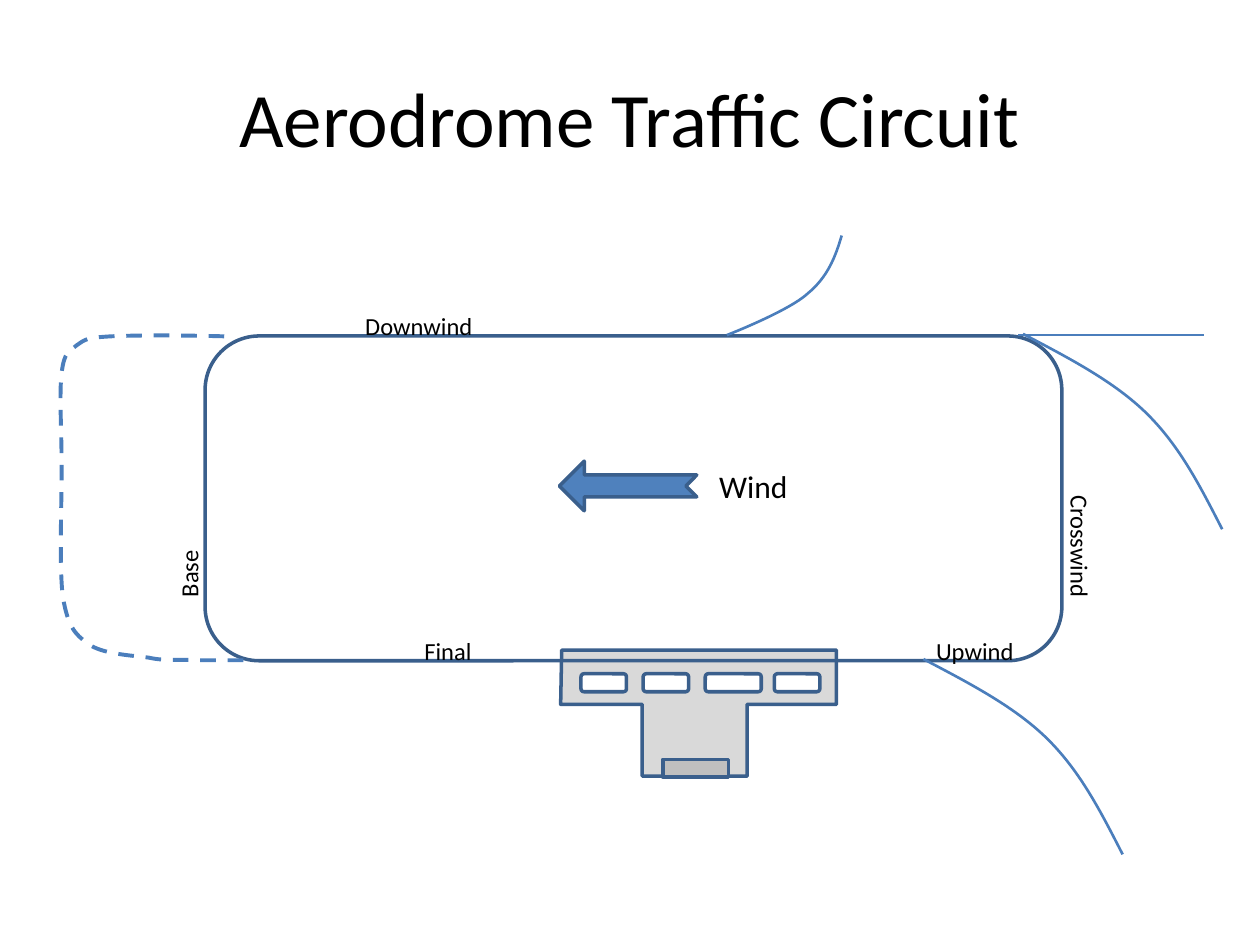
from pptx import Presentation
from pptx.dml.color import RGBColor as RGB
from pptx.enum.dml import MSO_LINE as Dash
from pptx.enum.shapes import MSO_CONNECTOR as Conn, MSO_SHAPE as Kind
from pptx.enum.text import MSO_ANCHOR as Anchor, PP_ALIGN as Align
from pptx.oxml.xmlchemy import OxmlElement as Node
from pptx.util import Pt

HUE = {"ink": "000000", "edge": "3A5F8C", "track": "4B7EBC", "wind": "4F81BD",
       "wall": "D9D9D9", "door": "BFBFBF", "pane": "FFFFFF"}


def paint(shape, fill, edge="edge", width=2):
    shape.shadow.inherit = False
    if fill:
        shape.fill.solid()
        shape.fill.fore_color.rgb = RGB.from_string(HUE[fill])
    else:
        shape.fill.background()
    shape.line.color.rgb = RGB.from_string(HUE[edge])
    shape.line.width = Pt(width)


def trace(shapes, dots, close):
    ends = [(Pt(x), Pt(y)) for x, y in dots]
    pen = shapes.build_freeform(*ends[0])
    pen.add_line_segments(ends[1:], close=close)
    return pen.convert_to_shape()


prs = Presentation()
prs.slide_width, prs.slide_height = Pt(720), Pt(540)
slide = prs.slides.add_slide(prs.slide_layouts[6])
shapes = slide.shapes

tower = shapes.add_group_shape().shapes
walls = [(321, 371.5), (478, 371.5), (478, 402.5), (427, 402.5), (427, 443.5),
         (367, 443.5), (367, 402.5), (320.4, 402.5)]
paint(trace(tower, walls, True), "wall")
for x, w in [(332, 26), (367.5, 26), (403, 32), (442.5, 26)]:
    pane = tower.add_shape(Kind.ROUNDED_RECTANGLE, Pt(x), Pt(385), Pt(w), Pt(10.3))
    paint(pane, "pane")
door = tower.add_shape(Kind.RECTANGLE, Pt(378.7), Pt(434), Pt(37.5), Pt(10))
paint(door, "door")

loop = shapes.add_shape(Kind.ROUNDED_RECTANGLE, Pt(117.2), Pt(192), Pt(489.6), Pt(185.6))
paint(loop, None)

entry = shapes.add_connector(Conn.STRAIGHT, Pt(688), Pt(191.5), Pt(582), Pt(191.5))
entry.line.color.rgb = RGB.from_string(HUE["track"])
entry.line.width = Pt(1.5)
entry.element.spPr.append(Node("a:effectLst"))

leave = [(481, 134.6), (477.4, 146.9), (473, 158.4), (461.5, 167.8),
         (450.7, 177.8), (415.4, 191.5), (415.4, 191.5)]
bend = [(0, 0), (-12.2, -23.8), (-23.8, -46.8), (-42.5, -65.5),
        (-61.2, -84.2), (-87.8, -97.9), (-113.8, -111.6)]
wide = [(128.2, 192.2), (103, 191.5), (77.8, 191.5), (63.4, 192.2),
        (49.7, 193), (49, 193.7), (43.9, 197.3),
        (39.6, 200.9), (36.7, 200.9), (35.3, 213.1),
        (33.8, 224.6), (35.3, 246.2), (35.3, 267.8),
        (35.3, 288.7), (33.8, 324.7), (36, 341.3),
        (38.9, 357.8), (42.5, 362.2), (50.4, 367.9),
        (58.3, 373.7), (74.2, 374.4), (85, 375.8),
        (95, 378), (103.7, 376.6), (113.8, 377.3),
        (123.8, 377.3), (144.7, 377.3), (144.7, 377.3)]
bends = [[(x + dx, y + dy) for dx, dy in bend] for x, y in [(641.5, 488.2), (698.4, 302.4)]]
for dots, width, dash in [(leave, 1.5, None), (bends[0], 1.5, None),
                          (bends[1], 1.5, None), (wide, 2.25, Dash.DASH)]:
    curve = trace(shapes, dots, False)
    paint(curve, None, "track", width)
    if dash:
        curve.line.dash_style = dash
    legs = curve.element.xpath(".//a:lnTo")
    for i in range(0, len(legs), 3):
        arc = Node("a:cubicBezTo")
        legs[i].addprevious(arc)
        for leg in legs[i:i + 3]:
            arc.append(leg[0])
            leg.getparent().remove(leg)

arrow = shapes.add_shape(Kind.NOTCHED_RIGHT_ARROW, Pt(319.7), Pt(263.5), Pt(78.5), Pt(28.4))
arrow.adjustments[0] = 0.44
arrow.adjustments[1] = 0.5
arrow.element.xpath(".//a:xfrm")[0].set("flipH", "1")
paint(arrow, "wind")

for text, x, y, w, h, size, turn in [
    ("Aerodrome Traffic Circuit", 36, 21.6, 648, 90, 44, None),
    ("Downwind", 201.6, 174.4, 90, 24.2, 14, None),
    ("Final", 235.4, 360, 67.7, 24.2, 14, None),
    ("Base", 95.8, 298, 31.7, 50.4, 14, "vert270"),
    ("Crosswind", 597.6, 275.8, 31.7, 73.4, 14, "vert"),
    ("Upwind", 527.8, 360, 67.7, 24.2, 14, None),
    ("Wind", 403.9, 263.5, 56.2, 29, 18, None),
]:
    frame = shapes.add_textbox(Pt(x), Pt(y), Pt(w), Pt(h)).text_frame
    frame.word_wrap = True
    frame.text = text
    para = frame.paragraphs[0]
    para.font.name = "Calibri"
    para.font.size = Pt(size)
    para.font.color.rgb = RGB.from_string(HUE["ink"])
    if size == 44:
        para.alignment = Align.CENTER
        frame.vertical_anchor = Anchor.MIDDLE
    if turn:
        frame._txBody.bodyPr.set("vert", turn)

prs.save("out.pptx")
